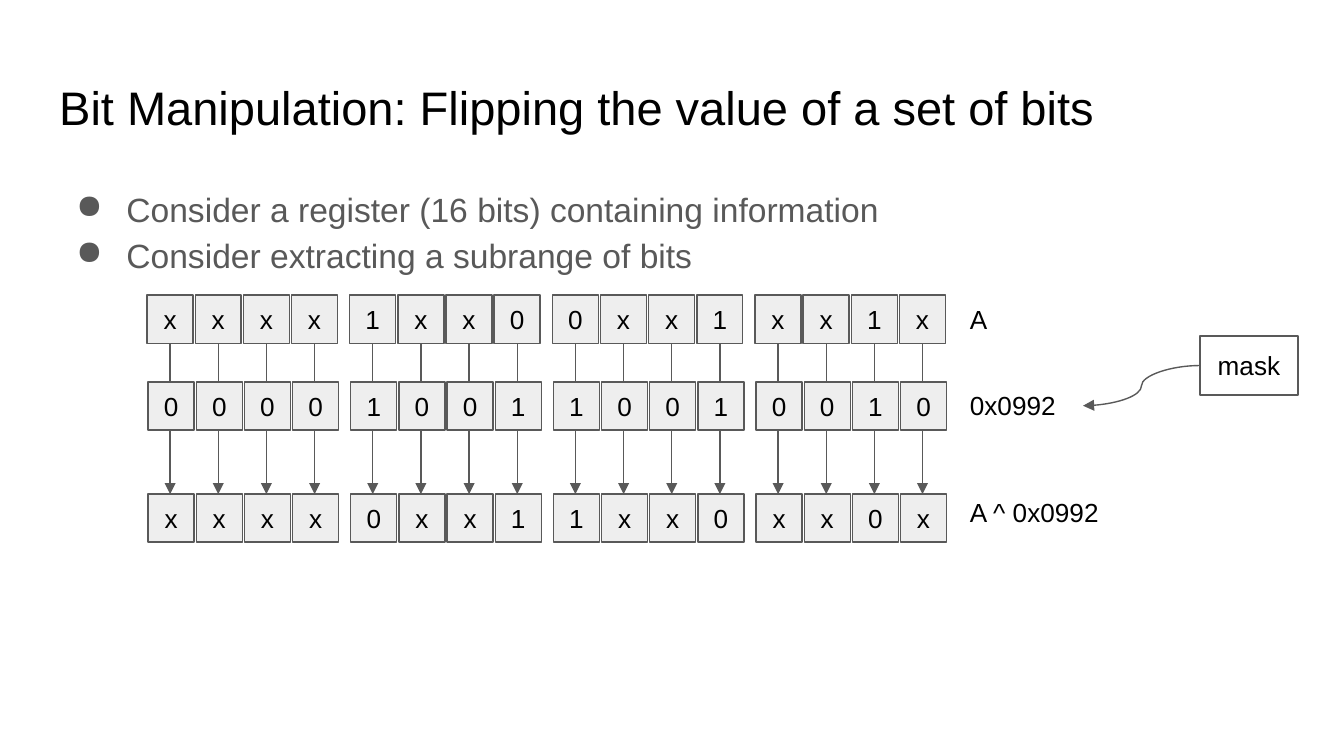
"""Builds a slide showing how a mask flips a set of bits in a 16-bit register."""
from lxml.etree import SubElement
from pptx import Presentation
from pptx.dml.color import RGBColor
from pptx.enum.shapes import MSO_CONNECTOR as CONN, MSO_SHAPE as SHAPE
from pptx.enum.text import MSO_ANCHOR as ANCHOR, PP_ALIGN as ALIGN
from pptx.oxml.ns import qn
from pptx.util import Cm, Pt

COLORS = {"text": "000000", "gray": "595959", "cell": "EEEEEE"}
FONT = "Arial"
INSET = 0.25
BIT_W, BIT_H = 0.87, 0.91
BIT_STEP, NIBBLE_STEP = 0.91, 3.83
REGISTER_X = 2.78
LABEL_X = 18.08
ROWS = [
    ("xxxx 1xx0 0xx1 xx1x", 2.78, 5.58, "A", 5.49, 0.94),
    ("0000 1001 1001 0010", 2.8, 7.22, "0x0992", 7.11, 2.39),
    ("xxxx 0xx1 1xx0 xx0x", 2.8, 9.34, "A ^ 0x0992", 9.14, 3.61),
]


def color(name):
    return RGBColor.from_string(COLORS[name])


def set_text(sp, text, size=14, name="text", align=ALIGN.LEFT, anchor=ANCHOR.TOP):
    tf = sp.text_frame
    tf.word_wrap = True
    tf.vertical_anchor = anchor
    tf.margin_left = tf.margin_right = tf.margin_top = tf.margin_bottom = Cm(INSET)
    tf.text = text
    for p in tf.paragraphs:
        p.alignment = align
        for r in p.runs:
            r.font.name = FONT
            r.font.size = Pt(size)
            r.font.color.rgb = color(name)


def add_text(s, text, x, y, w, h, **style):
    sp = s.shapes.add_textbox(Cm(x), Cm(y), Cm(w), Cm(h))
    set_text(sp, text, **style)
    return sp


def add_bullets(s, lines, x, y, w, h):
    sp = add_text(s, "\n".join(lines), x, y, w, h, size=18, name="gray")
    for p in sp.text_frame.paragraphs:
        p.line_spacing = 1.15
        pPr = p._p.get_or_add_pPr()
        pPr.set("marL", str(Cm(1.27)))
        pPr.set("indent", str(-Cm(0.95)))
        SubElement(pPr, qn("a:buChar"), char="●")


def add_box(shapes, text, x, y, w, h, fill=None, anchor=ANCHOR.MIDDLE):
    sp = shapes.add_shape(SHAPE.RECTANGLE, Cm(x), Cm(y), Cm(w), Cm(h))
    sp.shadow.inherit = False
    if fill:
        sp.fill.solid()
        sp.fill.fore_color.rgb = color(fill)
    else:
        sp.fill.background()
    sp.line.color.rgb = color("gray")
    sp.line.width = Pt(0.75)
    set_text(sp, text, align=ALIGN.CENTER, anchor=anchor)


def add_arrow(s, kind, x1, y1, x2, y2):
    line = s.shapes.add_connector(kind, Cm(x1), Cm(y1), Cm(x2), Cm(y2))
    line.line.color.rgb = color("gray")
    line.line.width = Pt(0.75)
    SubElement(line.line._get_or_add_ln(), qn("a:tailEnd"), type="triangle")
    SubElement(line._element.spPr, qn("a:effectLst"))


def add_register(s, bits, x, y):
    for n, nibble in enumerate(bits.split()):
        group = s.shapes.add_group_shape()
        for b, bit in enumerate(nibble):
            left = x + n * NIBBLE_STEP + b * BIT_STEP
            add_box(group.shapes, bit, left, y, BIT_W, BIT_H, fill="cell")


def add_bit_arrows(s, y1, y2):
    for i in range(16):
        n, b = divmod(i, 4)
        x = REGISTER_X + n * NIBBLE_STEP + b * BIT_STEP + BIT_W / 2
        add_arrow(s, CONN.STRAIGHT, x, y1, x, y2)


def main():
    prs = Presentation()
    prs.slide_width, prs.slide_height = Cm(25.4), Cm(14.29)
    s = prs.slides.add_slide(prs.slide_layouts[6])
    add_text(s, "Bit Manipulation: Flipping the value of a set of bits",
             0.87, 1.24, 23.67, 1.6, size=25.2)
    add_bullets(s, ["Consider a register (16 bits) containing information",
                    "Consider extracting a subrange of bits"],
                0.87, 3.2, 23.67, 9.5)
    add_bit_arrows(s, ROWS[0][2] + BIT_H, ROWS[-1][2])
    for bits, x, y, label, label_y, label_w in ROWS:
        add_register(s, bits, x, y)
        add_text(s, label, LABEL_X, label_y, label_w, 1.12)
    add_box(s.shapes, "mask", 22.68, 6.35, 1.85, 1.12, anchor=ANCHOR.TOP)
    add_arrow(s, CONN.CURVE, 22.68, 6.91, 20.47, 7.67)
    prs.save("out.pptx")


main()
